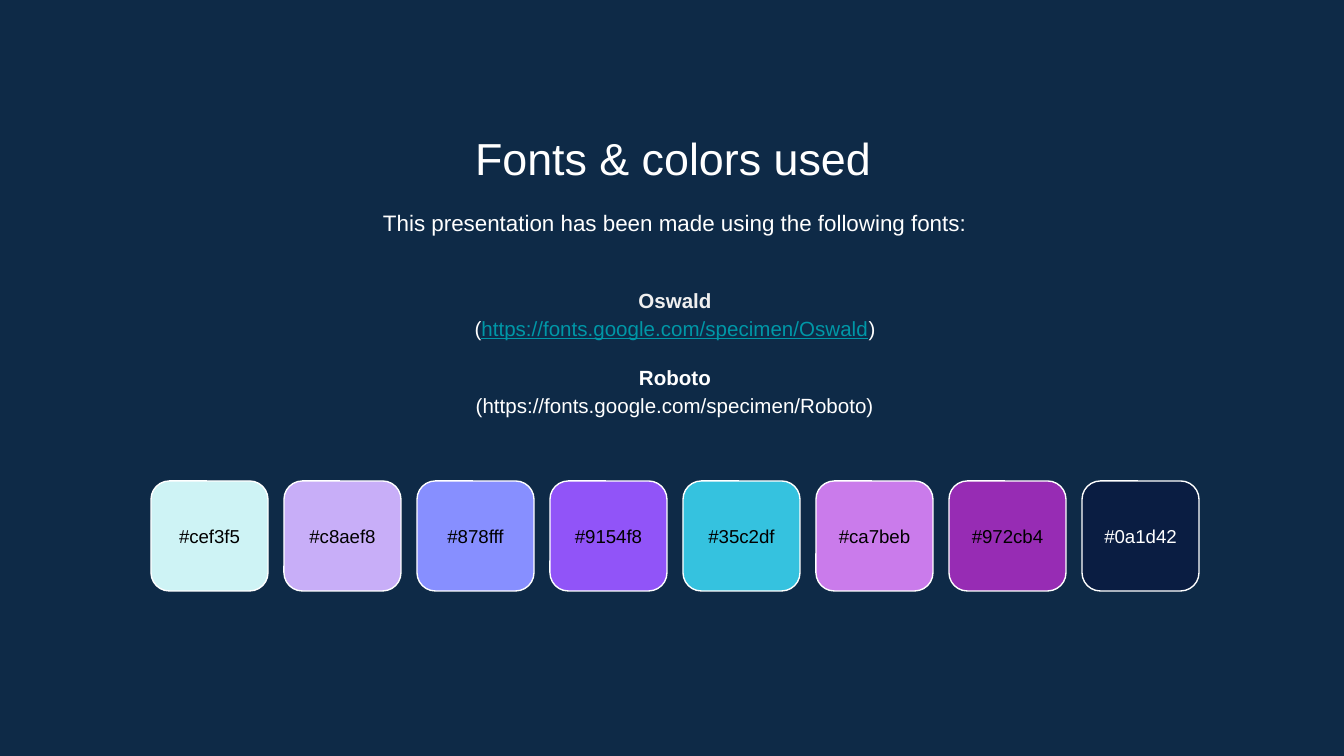
from pptx import Presentation
from pptx.dml.color import RGBColor
from pptx.enum.shapes import MSO_SHAPE
from pptx.enum.text import MSO_ANCHOR, PP_ALIGN
from pptx.util import Pt

ROUNDED = MSO_SHAPE.ROUNDED_RECTANGLE
TOP, MIDDLE = MSO_ANCHOR.TOP, MSO_ANCHOR.MIDDLE
CENTER = PP_ALIGN.CENTER

NAVY = RGBColor(0x0E, 0x2A, 0x47)
WHITE = RGBColor(0xFF, 0xFF, 0xFF)
PALE = RGBColor(0xEF, 0xEF, 0xEF)
TEAL = RGBColor(0x00, 0x97, 0xA7)
BLACK = RGBColor(0x00, 0x00, 0x00)

EMU_PER_PX = 9144000 / 1344


def px(*lengths):
    return [round(length * EMU_PER_PX) for length in lengths]


def write(frame, lines, anchor=TOP, spacing=1.0):
    """Each line is (space before in points, [(text, font values), ...])."""
    frame.word_wrap = True
    frame.vertical_anchor = anchor
    for side in ("left", "top", "right", "bottom"):
        setattr(frame, f"margin_{side}", px(13)[0])
    for i, (before, runs) in enumerate(lines):
        paragraph = frame.paragraphs[0] if i == 0 else frame.add_paragraph()
        paragraph.alignment = CENTER
        paragraph.line_spacing = spacing
        paragraph.space_before = Pt(before)
        for text, values in runs:
            run = paragraph.add_run()
            run.text = text
            run.font.name = "Arial"
            run.font.color.rgb = values["color"]
            for name in ("size", "bold", "underline"):
                if name in values:
                    setattr(run.font, name, values[name])


prs = Presentation()
prs.slide_width, prs.slide_height = px(1344, 756)
slide = prs.slides.add_slide(prs.slide_layouts[6])
slide.background.fill.solid()
slide.background.fill.fore_color.rgb = NAVY

# Title, introduction and font list
title = {"size": Pt(24), "color": WHITE}
intro = {"size": Pt(12), "color": WHITE}
address = {"size": Pt(11), "color": WHITE}
linked = {**address, "color": TEAL, "underline": True}
oswald = {**address, "color": PALE, "bold": True}
roboto = {**address, "bold": True}

font_list = [
    (0, [("Oswald", oswald)]),
    (0, [("(", address),
         ("https://fonts.google.com/specimen/Oswald", linked),
         (")", address)]),
    (11, [("Roboto", roboto)]),
    (0, [("(https://fonts.google.com/specimen/Roboto)", address)]),
]
intro_text = "This presentation has been made using the following fonts:"
blocks = [
    ((155, 118, 1036, 71), [(0, [("Fonts & colors used", title)])], TOP, 1.0),
    ((157, 192, 1036, 65), [(0, [(intro_text, intro)])], TOP, 1.15),
    ((157, 259, 1036, 184), font_list, MIDDLE, 1.15),
]
for place, lines, anchor, spacing in blocks:
    box = slide.shapes.add_textbox(*px(*place))
    write(box.text_frame, lines, anchor, spacing)

# Colour swatches, evenly spaced, each labelled with its own code
palette = ["cef3f5", "c8aef8", "878fff", "9154f8",
           "35c2df", "ca7beb", "972cb4", "0a1d42"]
SWATCH_LEFT, SWATCH_TOP, SWATCH_PITCH = 151, 481, 133
for i, code in enumerate(palette):
    left = SWATCH_LEFT + i * SWATCH_PITCH
    swatch = slide.shapes.add_shape(ROUNDED, *px(left, SWATCH_TOP, 117, 110))
    swatch.shadow.inherit = False
    swatch.fill.solid()
    swatch.fill.fore_color.rgb = RGBColor.from_string(code.upper())
    swatch.line.color.rgb = WHITE
    swatch.line.width = Pt(0.75)
    ink = WHITE if code == palette[-1] else BLACK
    label = {"size": Pt(10), "color": ink}
    write(swatch.text_frame, [(0, [(f"#{code}", label)])], MIDDLE)

prs.save("out.pptx")
